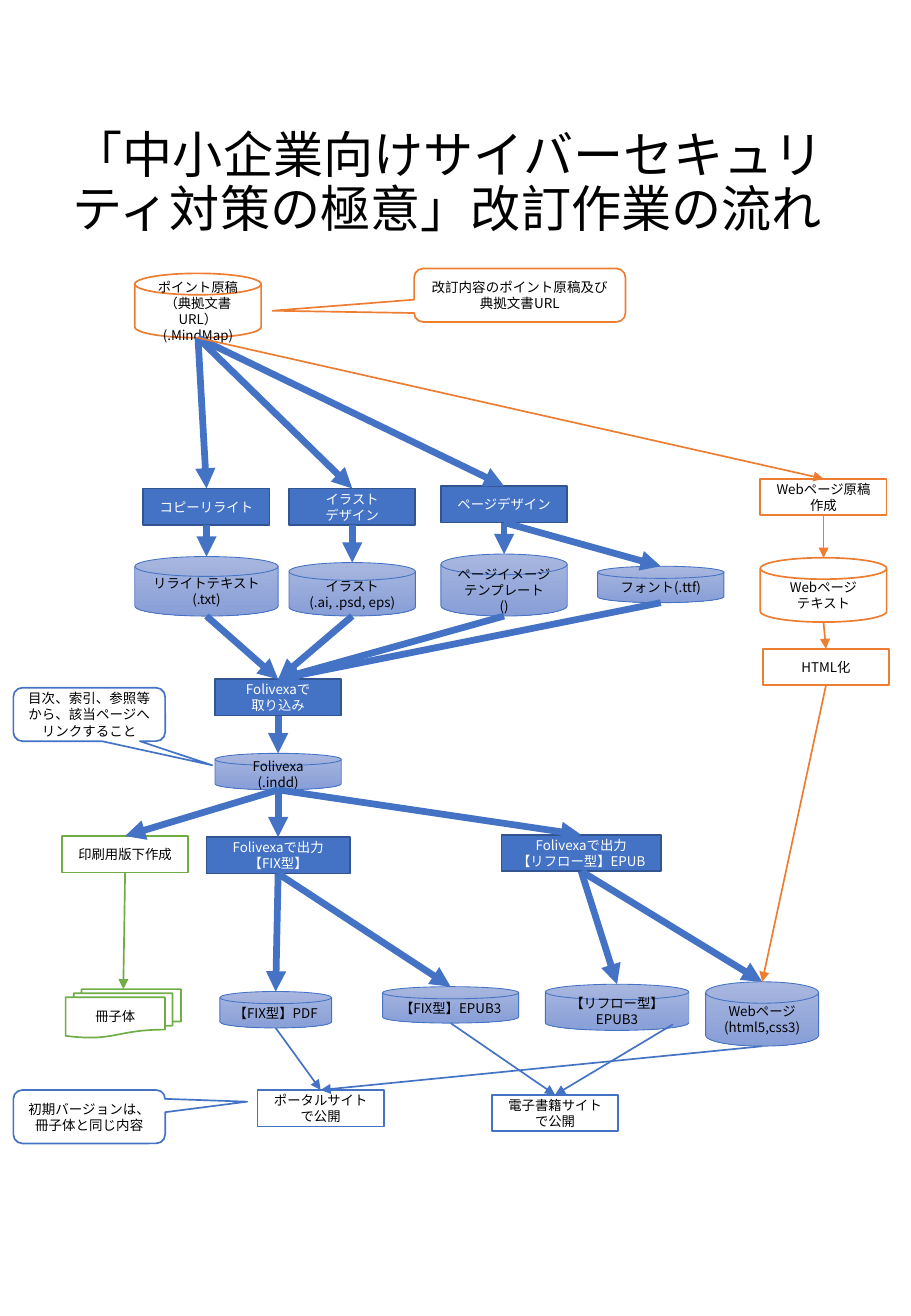
from dataclasses import dataclass
from typing import Optional

import pptx
import pptx.dml.color
import pptx.enum.dml
import pptx.enum.shapes
import pptx.enum.text
import pptx.oxml
import pptx.oxml.ns
import pptx.util
from lxml import etree

Inches = pptx.util.Inches
RGBColor = pptx.dml.color.RGBColor
Kind = pptx.enum.shapes.MSO_SHAPE

FONT = "Noto Sans CJK JP"
BLACK = RGBColor(0x00, 0x00, 0x00)
WHITE = RGBColor(0xFF, 0xFF, 0xFF)
BLUE = RGBColor(0x44, 0x72, 0xC4)
NAVY = RGBColor(0x32, 0x54, 0x91)
ORANGE = RGBColor(0xED, 0x7D, 0x31)
GREEN = RGBColor(0x70, 0xAD, 0x47)
PALE_BLUE = RGBColor(0xA8, 0xB7, 0xDF)
SOFT_BLUE = RGBColor(0x88, 0x9E, 0xD7)

BOX = Kind.RECTANGLE
DISK = Kind.FLOWCHART_MAGNETIC_DISK
BOOKLET = Kind.FLOWCHART_MULTIDOCUMENT
CALLOUT = Kind.ROUNDED_RECTANGULAR_CALLOUT


@dataclass(frozen=True)
class Style:
    line: RGBColor
    fill: Optional[RGBColor] = WHITE
    line_width: float = 1
    text: RGBColor = BLACK


DATA = Style(BLUE, None, 0.5)
TASK = Style(NAVY, BLUE, 1, WHITE)
SITE = Style(BLUE)
WEB = Style(ORANGE)
PRINT = Style(GREEN)


@dataclass(frozen=True)
class Node:
    name: str
    kind: Kind
    style: Style
    left: float
    top: float
    text: str
    width: float = 1.04
    height: float = 0.3
    adjustments: tuple[float, ...] = ()
    size: float = 7.9


@dataclass(frozen=True)
class Link:
    source: str
    targets: tuple[str, ...]
    color: RGBColor = BLUE
    width: float = 4
    shift_x: float = 0
    shift_y: float = 0


NODES = [
    Node("rewrite text", DISK, DATA, 1.11, 4.58, "リライトテキスト\n(.txt)", 1.18, 0.49),
    Node("illustration", DISK, DATA, 2.38, 4.63, "イラスト\n(.ai, .psd, eps)", height=0.44),
    Node("template", DISK, DATA, 3.63, 4.56, "ページイメージ\nテンプレート\n()", height=0.51),
    Node("layout file", DISK, DATA, 1.77, 6.2, "Folivexa\n(.indd)"),
    Node("font", DISK, DATA, 4.92, 4.66, "フォント(.ttf)"),
    Node("booklet", BOOKLET, PRINT, 0.54, 8.14, "冊子体", 0.95, 0.4),
    Node("print plate", BOX, PRINT, 0.51, 6.88, "印刷用版下作成"),
    Node("fixed pdf", DISK, DATA, 1.81, 8.16, "【FIX型】PDF", 0.92),
    Node("fixed output", BOX, TASK, 1.7, 6.89, "Folivexaで出力\n【FIX型】", 1.18),
    Node("fixed epub", DISK, DATA, 3.15, 8.12, "【FIX型】EPUB3", 1.12),
    Node("reflow epub", DISK, DATA, 4.49, 8.1, "【リフロー型】EPUB3", 1.18, 0.38),
    Node("reflow output", BOX, TASK, 4.13, 6.87, "Folivexaで出力\n【リフロー型】EPUB", 1.31),
    Node("import", BOX, TASK, 1.77, 5.59, "Folivexaで\n取り込み"),
    Node("manuscript", DISK, WEB, 1.11, 2.25, "ポイント原稿\n（典拠文書URL） (.MindMap)", height=0.53),
    Node("copy rewrite", BOX, TASK, 1.18, 4.02, "コピーリライト"),
    Node("illustration design", BOX, TASK, 2.38, 4.02, "イラスト\nデザイン"),
    Node("page design", BOX, TASK, 3.63, 4, "ページデザイン"),
    Node("web page", DISK, DATA, 5.81, 8.08, "Webページ\n(html5,css3)", 0.93, 0.53),
    Node("portal site", BOX, SITE, 2.12, 8.97, "ポータルサイトで公開"),
    Node("ebook site", BOX, SITE, 4.05, 9.01, "電子書籍サイトで公開"),
    Node("html conversion", BOX, WEB, 6.28, 5.34, "HTML化"),
    Node("web manuscript", BOX, WEB, 6.26, 3.94, "Webページ原稿作成"),
    Node("web text", DISK, WEB, 6.26, 4.59, "Webページ\nテキスト", height=0.53),
    Node("manuscript note", CALLOUT, WEB, 3.41, 2.21, "改訂内容のポイント原稿及び典拠文書URL",
         1.74, 0.44, (-1.17, 0.29, 0.17), 8),
    Node("first version note", CALLOUT, SITE, 0.11, 8.97, "初期バージョンは、冊子体と同じ内容",
         1.25, 0.44, (1.04, -0.28, 0.17), 8),
    Node("reference note", CALLOUT, SITE, 0.11, 5.66, "目次、索引、参照等から、該当ページへリンクすること",
         1.25, 0.44, (0.81, 0.95, 0.17), 8),
]

LINKS = [
    Link("manuscript", ("copy rewrite", "illustration design", "page design")),
    Link("copy rewrite", ("rewrite text",)),
    Link("illustration design", ("illustration",)),
    Link("page design", ("template", "font")),
    Link("font", ("import",)),
    Link("template", ("import",)),
    Link("illustration", ("import",)),
    Link("rewrite text", ("import",)),
    Link("import", ("layout file",)),
    Link("layout file", ("print plate", "fixed output", "reflow output")),
    Link("print plate", ("booklet",), GREEN, 1),
    Link("fixed output", ("fixed pdf", "fixed epub")),
    Link("reflow output", ("reflow epub", "web page")),
    Link("fixed pdf", ("portal site",), BLUE, 1),
    Link("web page", ("portal site",), BLUE, 1),
    Link("fixed epub", ("ebook site",), BLUE, 1),
    Link("reflow epub", ("ebook site",), BLUE, 1, 0.46, -0.05),
    Link("web text", ("html conversion",), ORANGE, 1),
    Link("web manuscript", ("web text",), ORANGE, 1),
    Link("html conversion", ("web page",), ORANGE, 1),
    Link("manuscript", ("web manuscript",), ORANGE, 1),
]


def format_text(text_frame, size: float, color: RGBColor, alignment) -> None:
    text_frame.word_wrap = True
    text_frame.vertical_anchor = pptx.enum.text.MSO_ANCHOR.MIDDLE
    for paragraph in text_frame.paragraphs:
        paragraph.alignment = alignment
        for run in paragraph.runs:
            run.font.size = pptx.util.Pt(size)
            run.font.color.rgb = color
            run.font.name = FONT
            east_asian = etree.SubElement(run.font._element, pptx.oxml.ns.qn("a:ea"))
            east_asian.set("typeface", FONT)


def add_title(slide) -> None:
    title = slide.shapes.add_textbox(Inches(0.5), Inches(1.15), Inches(6.47), Inches(0.73))
    title.text_frame.text = "「中小企業向けサイバーセキュリティ対策の極意」改訂作業の流れ"
    format_text(title.text_frame, 29.7, BLACK, pptx.enum.text.PP_ALIGN.LEFT)
    title.text_frame.paragraphs[0].line_spacing = 0.9


def add_node(slide, node: Node):
    shape = slide.shapes.add_shape(
        node.kind, Inches(node.left), Inches(node.top), Inches(node.width), Inches(node.height))
    shape.shadow.inherit = False
    for index, value in enumerate(node.adjustments):
        shape.adjustments[index] = value
    if node.style.fill is None:
        shape.fill.gradient()
        shape.fill.gradient_angle = 270
        for stop, color in zip(shape.fill.gradient_stops, (PALE_BLUE, SOFT_BLUE)):
            stop.color.rgb = color
    else:
        shape.fill.solid()
        shape.fill.fore_color.rgb = node.style.fill
    shape.line.color.rgb = node.style.line
    shape.line.width = pptx.util.Pt(node.style.line_width)
    shape.text_frame.text = node.text
    format_text(shape.text_frame, node.size, node.style.text, pptx.enum.text.PP_ALIGN.CENTER)
    return shape


def add_link(slide, link: Link, source, target) -> None:
    connector = slide.shapes.add_connector(
        pptx.enum.shapes.MSO_CONNECTOR.STRAIGHT,
        source.left + source.width // 2 + Inches(link.shift_x),
        source.top + source.height + Inches(link.shift_y),
        target.left + target.width // 2,
        target.top)
    if source.auto_shape_type == BOX:
        connector.begin_connect(source, 2)
    if target.auto_shape_type == BOX:
        connector.end_connect(target, 0)
    connector.line.color.rgb = link.color
    connector.line.width = pptx.util.Pt(link.width)
    arrowhead = etree.SubElement(connector.line._get_or_add_ln(), pptx.oxml.ns.qn("a:tailEnd"))
    arrowhead.set("type", "triangle")
    etree.SubElement(connector._element.spPr, pptx.oxml.ns.qn("a:effectLst"))


def main() -> None:
    presentation = pptx.Presentation()
    presentation.slide_width = Inches(7.5)
    presentation.slide_height = Inches(10.83)
    slide = presentation.slides.add_slide(presentation.slide_layouts[6])
    add_title(slide)
    shapes = {node.name: add_node(slide, node) for node in NODES}
    for link in LINKS:
        for target in link.targets:
            add_link(slide, link, shapes[link.source], shapes[target])
    presentation.save("out.pptx")


if __name__ == "__main__":
    main()
